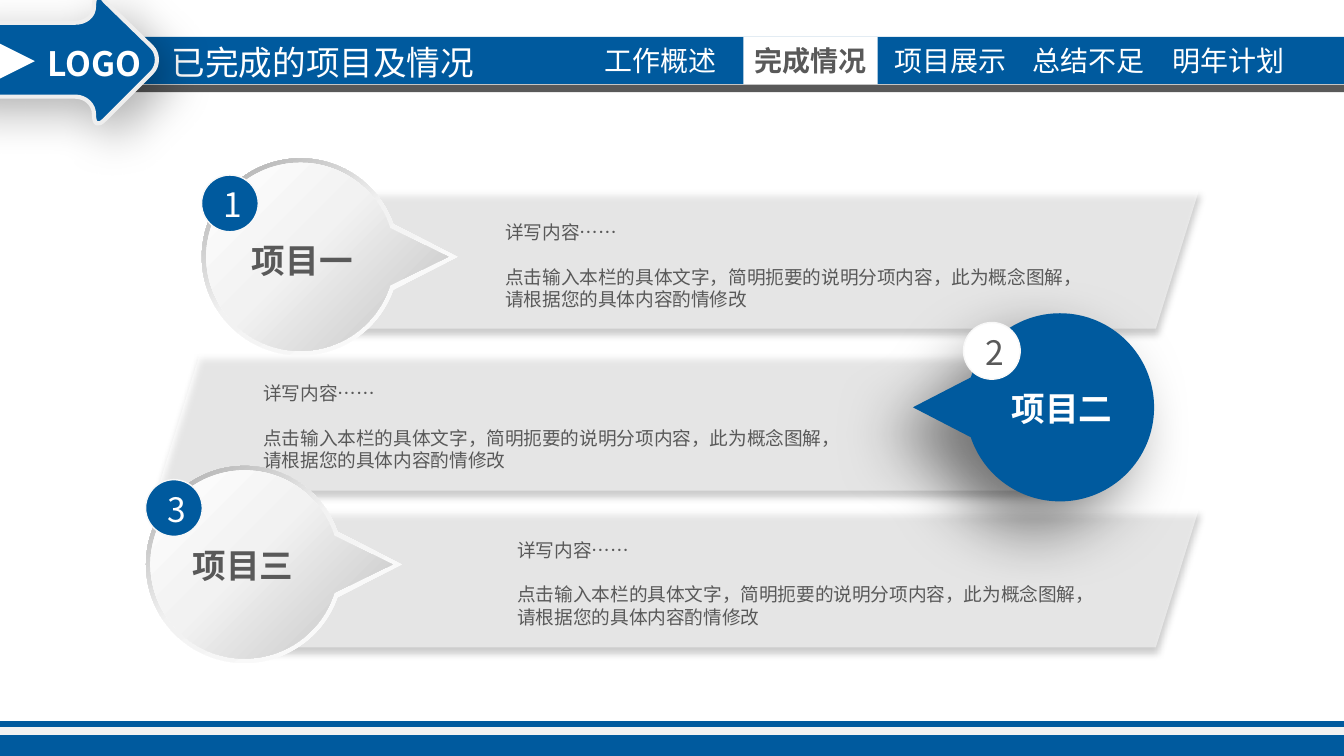
from dataclasses import dataclass
from math import cos, radians, sin, tan

from lxml import etree
from pptx import Presentation
from pptx.dml.color import RGBColor
from pptx.enum.shapes import MSO_SHAPE
from pptx.enum.text import MSO_ANCHOR, PP_ALIGN
from pptx.oxml.ns import qn
from pptx.util import Pt

RECT, OVAL, TRIANGLE = MSO_SHAPE.RECTANGLE, MSO_SHAPE.OVAL, MSO_SHAPE.FLOWCHART_EXTRACT
LEFT, CENTER = PP_ALIGN.LEFT, PP_ALIGN.CENTER
TOP, MIDDLE = MSO_ANCHOR.TOP, MSO_ANCHOR.MIDDLE


@dataclass(frozen=True)
class Theme:
    """Colours, type sizes and effects of the slide."""
    font: str = "Noto Sans CJK SC"
    blue: str = "005A9E"
    grey: str = "595959"
    white: str = "FFFFFF"
    band: str = "F2F2F2"
    arrow_edge: str = "EEEEEE"
    badge_edge: str = "F8F8F8"
    rim: tuple = ((0, "FFFFFF"), (55, "F2F2F2"), (100, "A6A6A6"))
    face: tuple = ((0, "FFFFFF"), (43, "F2F2F2"), (100, "BFBFBF"))
    heading: int = 18
    nav: int = 15
    detail: int = 10
    arrow_shadow: tuple = (30, 25, 10, 45)
    panel_shadow: tuple = (40, 4, 3, 90)
    bubble_shadow: tuple = (50, 35, 20, 135)


def beaked_circle(x, y, radius, reach, half_angle):
    """Outline of a circle whose beak points up."""
    def on_circle(angle):
        return x + radius * sin(angle), y - radius * cos(angle)

    angles = [radians(a) for a in (half_angle, 90, 180, 270, 360 - half_angle)]
    segments = [(x, y - reach), on_circle(angles[0])]
    for start, end in zip(angles, angles[1:]):
        pull = radius * 4 / 3 * tan((end - start) / 4)
        (x1, y1), (x2, y2) = on_circle(start), on_circle(end)
        segments.append((x1 + pull * cos(start), y1 + pull * sin(start),
                         x2 - pull * cos(end), y2 - pull * sin(end), x2, y2))
    return segments


class SlideBuilder:
    """Draws styled elements on one slide."""

    def __init__(self, slide, theme):
        self.slide, self.theme = slide, theme

    def _style(self, shape, fill, edge=None, edge_width=0.75, shadow=None, alpha=None):
        shape.shadow.inherit = False
        props = shape._element.spPr
        if isinstance(fill, str):
            shape.fill.solid()
            shape.fill.fore_color.rgb = RGBColor.from_string(fill)
            if alpha is not None:
                colour = props.find(qn("a:solidFill")).find(qn("a:srgbClr"))
                etree.SubElement(colour, qn("a:alpha"), val=str(alpha * 1000))
        else:
            stops, angle = fill
            shape.fill.gradient()
            shape.fill.gradient_angle = 360 - angle
            gradient = props.find(qn("a:gradFill"))
            gradient.set("rotWithShape", "0")
            stop_list = gradient.find(qn("a:gsLst"))
            for old_stop in list(stop_list):
                stop_list.remove(old_stop)
            for position, colour in stops:
                stop = etree.SubElement(stop_list, qn("a:gs"), pos=str(position * 1000))
                etree.SubElement(stop, qn("a:srgbClr"), val=colour)
        if edge:
            shape.line.color.rgb = RGBColor.from_string(edge)
            shape.line.width = Pt(edge_width)
        else:
            shape.line.fill.background()
        if shadow:
            opacity, blur, distance, angle = shadow
            outer = etree.SubElement(
                props.find(qn("a:effectLst")), qn("a:outerShdw"), blurRad=str(Pt(blur)),
                dist=str(Pt(distance)), dir=str(angle * 60000), algn="ctr", rotWithShape="0")
            colour = etree.SubElement(outer, qn("a:srgbClr"), val="000000")
            etree.SubElement(colour, qn("a:alpha"), val=str(opacity * 1000))

    def shape(self, kind, box, fill, **style):
        item = self.slide.shapes.add_shape(kind, *map(Pt, box))
        self._style(item, fill, **style)
        return item

    def freeform(self, segments, fill, rotation=0, **style):
        start, *points = [(Pt(s[i]), Pt(s[i + 1])) for s in segments
                          for i in range(0, len(s), 2)]
        builder = self.slide.shapes.build_freeform(*start, scale=1.0)
        builder.add_line_segments(points, close=True)
        item = builder.convert_to_shape()
        lines = iter(list(item._element.spPr.iter(qn("a:lnTo"))))
        for segment in segments[1:]:
            first = next(lines)
            if len(segment) == 6:
                first.tag = qn("a:cubicBezTo")
                for extra in (next(lines), next(lines)):
                    first.append(extra[0])
                    extra.getparent().remove(extra)
        item.rotation = rotation
        self._style(item, fill, **style)

    def _write(self, frame, lines, size, colour, bold=False, align=LEFT, anchor=MIDDLE,
               wrap=False, inset=(5, 3), leading=None, gap=0):
        frame.word_wrap, frame.vertical_anchor = wrap, anchor
        frame.margin_left = frame.margin_right = Pt(inset[0])
        frame.margin_top = frame.margin_bottom = Pt(inset[1])
        for index, line in enumerate(lines):
            paragraph = frame.add_paragraph() if index else frame.paragraphs[0]
            paragraph.alignment = align
            if leading:
                paragraph.line_spacing = Pt(leading)
            if index and gap:
                paragraph.space_before = Pt(gap)
            run = paragraph.add_run()
            run.text = line
            run.font.size, run.font.bold, run.font.name = Pt(size), bold, self.theme.font
            run.font.color.rgb = RGBColor.from_string(colour)
            etree.SubElement(run._r.get_or_add_rPr(), qn("a:ea"), typeface=self.theme.font)

    def text(self, box, lines, size, colour, **style):
        self._write(self.slide.shapes.add_textbox(*map(Pt, box)).text_frame,
                    lines, size, colour, **style)

    def title(self, box, wording):
        heading = self.slide.shapes.title
        heading.left, heading.top, heading.width, heading.height = map(Pt, box)
        self._write(heading.text_frame, [wording], self.theme.heading, self.theme.white)
        heading._element.getparent().append(heading._element)

    def tab(self, left, wording, active):
        theme, box = self.theme, (left, 19.8, 72, 25.2)
        if active:
            self._write(self.shape(RECT, box, theme.white).text_frame, [wording],
                        theme.nav, theme.grey, bold=True, align=CENTER)
        else:
            self.text(box, [wording], theme.nav, theme.white, align=CENTER)

    def panel(self, left, top, width, height=73.9, slant=23):
        points = [(left + slant, top), (left + width, top),
                  (left + width - slant, top + height), (left, top + height)]
        self.freeform(points, self.theme.white, alpha=50, shadow=self.theme.panel_shadow)

    def beak(self, centre, radius, reach, half_angle, fill, side=1, **style):
        shift = (reach - radius) / 2
        self.freeform(beaked_circle(centre[0] + side * shift, centre[1] + shift,
                                    radius, reach, half_angle),
                      fill, rotation=90 * side % 360, **style)

    def bubble(self, centre, filled):
        theme = self.theme
        if filled:
            self.beak(centre, 50.4, 78.8, 18.5, theme.blue, side=-1,
                      shadow=theme.bubble_shadow)
            self.shape(OVAL, (centre[0] - 45.3, centre[1] - 46.1, 92.9, 92.9), theme.blue)
        else:
            self.beak(centre, 52.8, 84.2, 19.5, (theme.rim, 235))
            self.beak(centre, 50.4, 79.2, 17.5, (theme.face, 45))

    def badge(self, left, top, number, filled):
        theme = self.theme
        fill, colour = (theme.white, theme.grey) if filled else (theme.blue, theme.white)
        self.shape(OVAL, (left, top, 30.4, 30.4), fill, edge=theme.badge_edge)
        self.text((left + 4.1, top + 1.4, 25.2, 28.8), [number], theme.heading, colour,
                  align=CENTER)


def main():
    theme = Theme()
    deck = Presentation()
    deck.slide_width, deck.slide_height = Pt(720), Pt(405)
    page = SlideBuilder(deck.slides.add_slide(deck.slide_layouts[5]), theme)

    page.shape(RECT, (0, 387.5, 720, 17.5), theme.blue, edge=theme.blue, edge_width=2)
    page.shape(RECT, (0, 389.5, 720, 4.3), theme.band)
    page.shape(RECT, (0, 19.8, 720, 25.2), theme.blue)
    page.shape(RECT, (0, 45.3, 720, 4.1), theme.grey)
    current = "完成情况"
    for left, wording in ((317.8, "工作概述"), (398.2, current), (473, "项目展示"),
                          (547.2, "总结不足"), (622.1, "明年计划")):
        page.tab(left, wording, wording == current)
    page.title((87, 19.4, 174.2, 27.4), "已完成的项目及情况")

    arrow = [
        (52.6, -2.2), (54, -2.2, 55.4, -0.7, 56.2, 0.7), (81.4, 25.2),
        (85, 28.8, 85, 35.3, 81.4, 38.9), (56.2, 64.1), (52.6, 67.7, 50.4, 67, 50.4, 61.2),
        (50.4, 56.2, 46.1, 51.8, 40.3, 51.8), (-21.6, 51.8),
        (-26.6, 51.8, -31, 46.8, -31, 41.8), (-31, 22.3),
        (-31, 17.3, -26.6, 12.2, -21.6, 12.2), (40.3, 12.2),
        (46.1, 12.2, 50.4, 8.6, 50.4, 3.6), (50.4, 0, 51.1, -2.2, 52.6, -2.2)]
    page.freeform(arrow, theme.blue, edge=theme.arrow_edge, edge_width=2.25,
                  shadow=theme.arrow_shadow)
    page.text((20.5, 19.9, 72, 27.4), ["LOGO"], theme.heading, theme.white, bold=True)
    page.shape(TRIANGLE, (-3.6, 21.6, 22.3, 22.3), theme.white).rotation = 90

    for left, top, width in ((137.5, 272.9, 504.7), (84.2, 188.9, 498.2), (159.1, 102.2, 483.1)):
        page.panel(left, top, width)
    details = ["详写内容……",
               "点击输入本栏的具体文字，简明扼要的说明分项内容，此为概念图解，请根据您的具体内容酌情修改"]
    for left, top in ((270.7, 118.4), (141.1, 204.5), (277.2, 288.5)):
        page.text((left, top, 311.8, 48), details, theme.detail, theme.grey, anchor=TOP,
                  wrap=True, inset=(0, 0), leading=12, gap=12)

    projects = (("1", "项目一", (160.9, 137.6), (129.9, 125.5), (108, 93.8), False),
                ("3", "项目三", (131, 302.4), (98.2, 289.2), (78, 257), False),
                ("2", "项目二", (567.9, 218.2), (536.9, 204.7), (516.2, 172.8), True))
    for number, name, centre, label, badge, filled in projects:
        page.bubble(centre, filled)
        page.text((*label, 65.5, 27.4), [name], theme.heading,
                  theme.white if filled else theme.grey, bold=True)
        page.badge(*badge, number, filled)

    deck.save("out.pptx")


if __name__ == "__main__":
    main()
